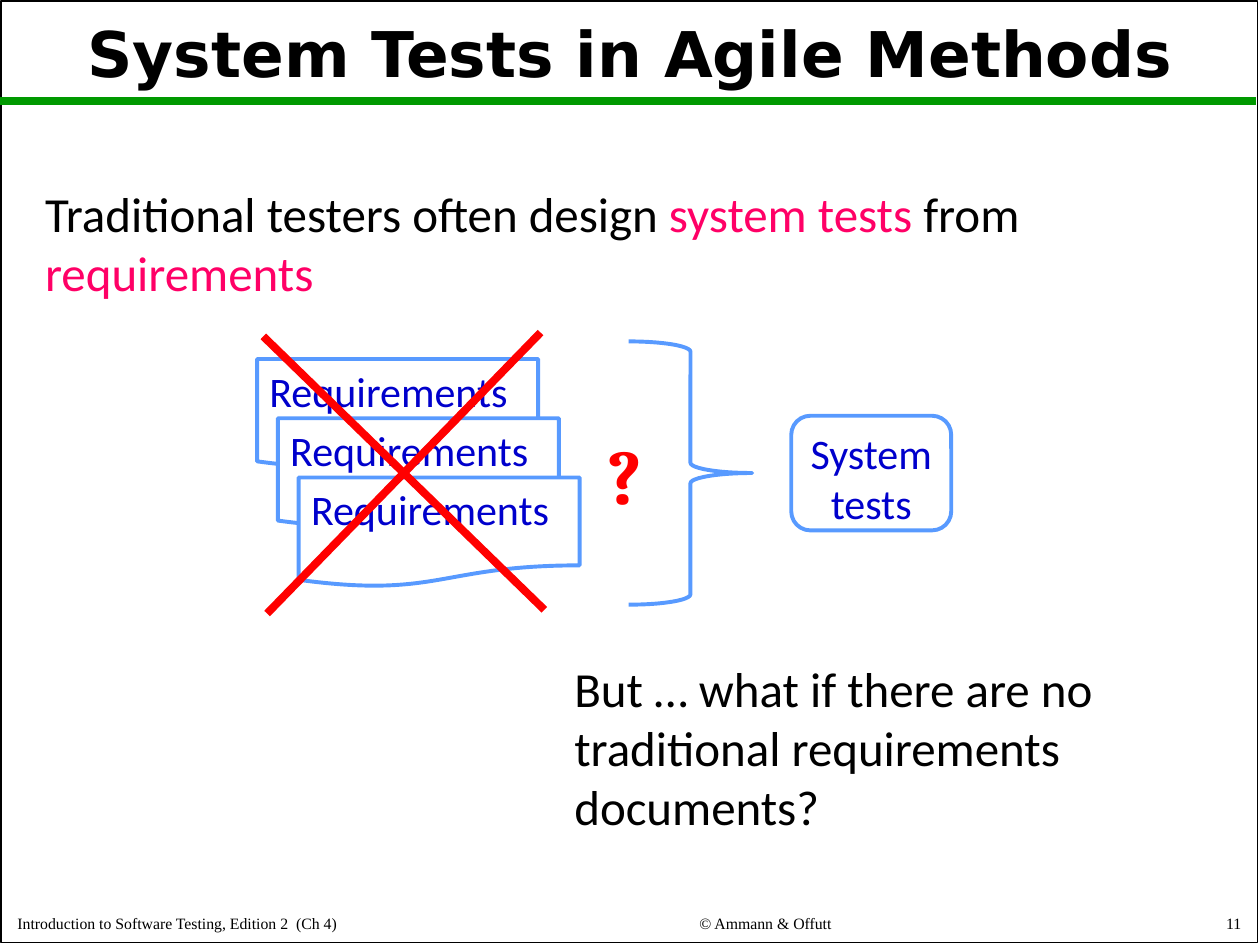
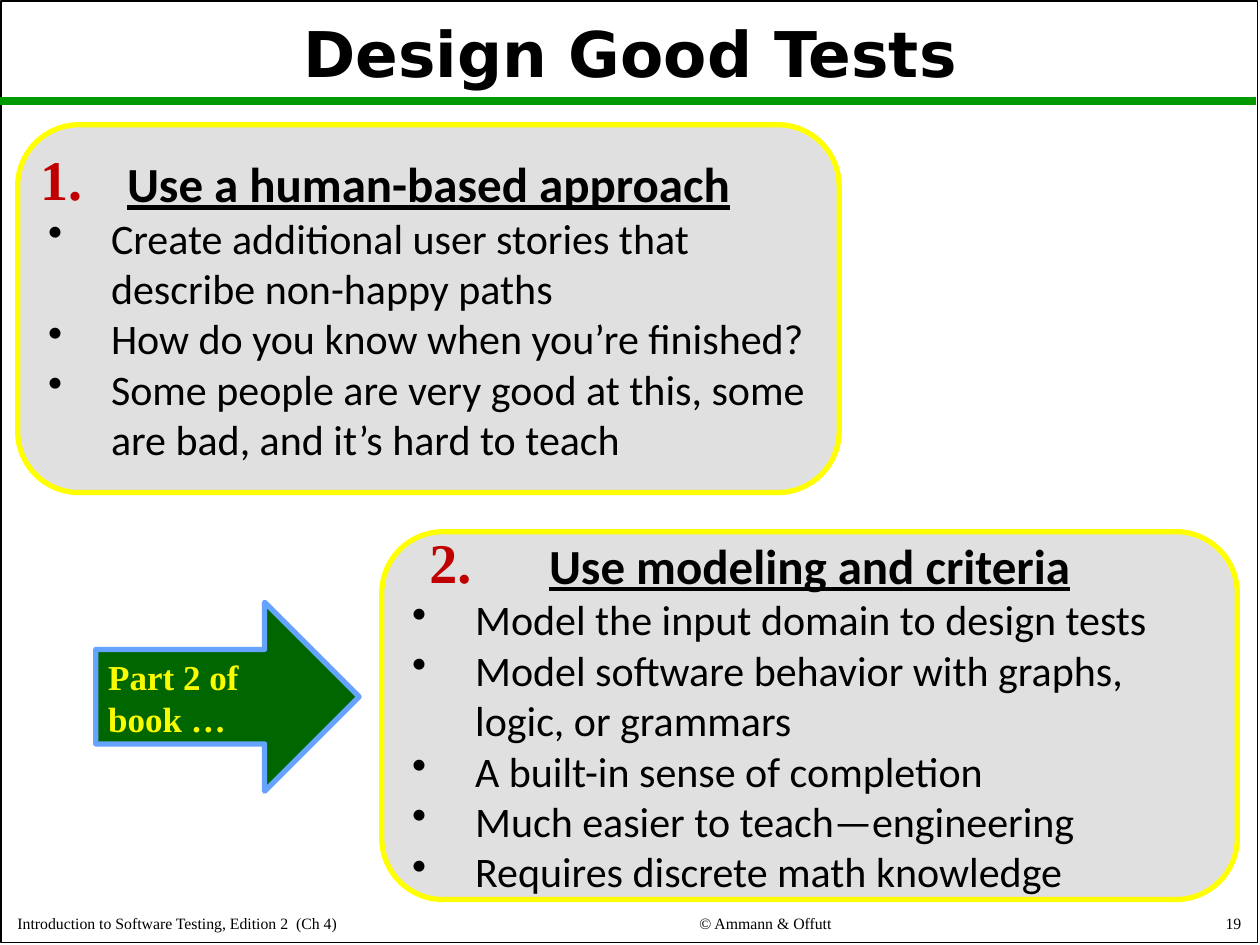
from dataclasses import dataclass

from lxml.etree import SubElement
from pptx import Presentation
from pptx.dml.color import RGBColor
from pptx.enum.shapes import MSO_CONNECTOR, MSO_SHAPE
from pptx.enum.text import MSO_ANCHOR, PP_ALIGN
from pptx.oxml.ns import qn
from pptx.util import Inches, Pt

BLACK, WHITE, RED = "000000", "FFFFFF", "FF0000"
GREEN, DARK_GREEN = "009900", "006600"
PINK, NAVY, SKY, BLUE = "FF0066", "0000CC", "589AFF", "66A3FF"
GREY, YELLOW, LEMON, CRIMSON = "E0E0E0", "FFFF00", "FAFD00", "C00000"
BODY, SERIF, HEADING, MARK = "Calibri", "Times New Roman", "DejaVu Sans", "Cambria"
LEFT, CENTER, RIGHT = PP_ALIGN.LEFT, PP_ALIGN.CENTER, PP_ALIGN.RIGHT
TOP, MIDDLE, BOTTOM = MSO_ANCHOR.TOP, MSO_ANCHOR.MIDDLE, MSO_ANCHOR.BOTTOM


@dataclass
class Box:
    x: float
    y: float
    w: float
    h: float

    def point(self, x, y):
        return int(self.x + self.w * x / 100), int(self.y + self.h * y / 100)

    def area(self, x, y, w, h):
        return Box(*self.point(x, y), int(self.w * w / 100), int(self.h * h / 100))

    def edges(self):
        return self.x, self.y, self.w, self.h


PAGE = Box(0, 0, Inches(10), Inches(7.5))


def rgb(color):
    return RGBColor.from_string(color)


def write(sp, text, size=24, font=BODY, color=BLACK, bold=False, underline=False,
          align=LEFT, anchor=TOP, wrap=True, spacing=None, bullet=False, more=False):
    tf = sp.text_frame
    tf.word_wrap = wrap
    tf.vertical_anchor = anchor
    p = tf.add_paragraph() if more else tf.paragraphs[0]
    p.alignment = align
    if spacing:
        p.line_spacing = spacing
    if bullet:
        pPr = p._p.get_or_add_pPr()
        pPr.set("marL", str(Inches(0.5)))
        pPr.set("indent", str(-Inches(0.5)))
        SubElement(pPr, qn("a:buChar")).set("char", "•")
    for words, tint in [(text, color)] if isinstance(text, str) else text:
        r = p.add_run()
        r.text = words
        r.font.size, r.font.name = Pt(size), font
        r.font.bold, r.font.underline = bold, underline
        r.font.color.rgb = rgb(tint)


def add_text(s, box, text, **fmt):
    sp = s.shapes.add_textbox(*box.edges())
    write(sp, text, **fmt)
    return sp


def add_shape(s, kind, box, fill=None, line=None, width=2.25):
    sp = s.shapes.add_shape(kind, *box.edges())
    sp.shadow.inherit = False
    if fill:
        sp.fill.solid()
        sp.fill.fore_color.rgb = rgb(fill)
    else:
        sp.fill.background()
    if line:
        sp.line.color.rgb = rgb(line)
        sp.line.width = Pt(width)
    else:
        sp.line.fill.background()
    return sp


def add_line(s, start, end, color, width=4.5):
    cxn = s.shapes.add_connector(MSO_CONNECTOR.STRAIGHT, *start, *end)
    cxn.line.color.rgb = rgb(color)
    cxn.line.width = Pt(width)
    SubElement(cxn._element.spPr, qn("a:effectLst"))


def add_page(prs, title, number):
    s = prs.slides.add_slide(prs.slide_layouts[6])
    s.background.fill.solid()
    s.background.fill.fore_color.rgb = rgb(WHITE)
    add_shape(s, MSO_SHAPE.RECTANGLE, PAGE.area(0.1, 0.13, 99.7, 99.6), line=BLACK, width=1)
    add_line(s, PAGE.point(0, 10.67), PAGE.point(99.7, 10.67), GREEN)
    add_text(s, PAGE.area(0.5, 1.47, 99, 9.2), title, size=36, font=HEADING,
             bold=True, align=CENTER, anchor=MIDDLE, spacing=0.9)
    for text, x, w, align in (
        ("Introduction to Software Testing, Edition 2  (Ch 4)", 0.4, 42, LEFT),
        ("© Ammann & Offutt", 44.9, 31.7, CENTER),
        (number, 78.7, 20.8, RIGHT),
    ):
        add_text(s, PAGE.area(x, 95.6, w, 3.73), text, size=9, font=SERIF,
                 align=align, anchor=BOTTOM)
    return s


def add_diagram(s, box):
    add_shape(s, MSO_SHAPE.RIGHT_BRACE, box.area(49.83, 8.4, 16.33, 83.6), line=SKY)
    tests = add_shape(s, MSO_SHAPE.ROUNDED_RECTANGLE, box.area(71.33, 32, 21.17, 36.4),
                      WHITE, SKY)
    write(tests, "System tests", color=NAVY, align=CENTER)
    for i in range(3):
        document = add_shape(s, MSO_SHAPE.FLOWCHART_DOCUMENT,
                             box.area(0.67 + 2.75 * i, 14 + 18.8 * i, 37.17, 34.8),
                             WHITE, SKY)
        write(document, "Requirements", color=NAVY)
    add_line(s, box.point(1.5, 6.8), box.point(38.67, 93.6), RED)
    add_line(s, box.point(38.17, 5.6), box.point(2, 94.8), RED)
    doubt = add_shape(s, MSO_SHAPE.RECTANGLE, box.area(45.33, 33.6, 8, 33.6), WHITE)
    write(doubt, "?", size=44, font=MARK, color=RED, bold=True, wrap=False)


def add_card(s, box, number, number_at, heading, points):
    card = add_shape(s, MSO_SHAPE.ROUNDED_RECTANGLE, box, GREY, YELLOW, 3)
    write(card, heading, size=28, bold=True, underline=True, align=CENTER, anchor=MIDDLE)
    for point in points:
        write(card, point, anchor=MIDDLE, bullet=True, more=True)
    add_text(s, box.area(*number_at, 8.2, 21.92), number, size=32, font=SERIF,
             color=CRIMSON, bold=True, wrap=False)


def add_agile_slide(prs):
    s = add_page(prs, "System Tests in Agile Methods", "11")
    add_text(s, PAGE.area(2.6, 18.8, 91, 13.87),
             [("Traditional testers often design ", BLACK), ("system tests ", PINK),
              ("from ", BLACK), ("requirements", PINK)], size=28)
    add_diagram(s, PAGE.area(20, 33.33, 60, 33.33))
    add_text(s, PAGE.area(44.6, 69.07, 47.5, 20.13),
             "But … what if there are no traditional requirements documents?", size=28)


def add_design_slide(prs):
    s = add_page(prs, "Design Good Tests", "19")
    add_card(s, PAGE.area(1.4, 13.2, 65.2, 38.93), "1.", (1.23, 3.77),
             "Use a human-based approach",
             ["Create additional user stories that describe non-happy paths",
              "How do you know when you’re finished?",
              "Some people are very good at this, some are bad, and it’s hard to teach"])
    add_card(s, PAGE.area(30.3, 56.27, 67.9, 38.93), "2.", (4.12, -2.74),
             "Use modeling and criteria",
             ["Model the input domain to design tests",
              "Model software behavior with graphs, logic, or grammars",
              "A built-in sense of completion",
              "Much easier to teach—engineering",
              "Requires discrete math knowledge"])
    arrow = add_shape(s, MSO_SHAPE.RIGHT_ARROW, PAGE.area(7.6, 63.73, 20.9, 20),
                      DARK_GREEN, BLUE, 3)
    write(arrow, "Part 2 of book …", size=20, font=SERIF, color=LEMON, bold=True)


def main():
    prs = Presentation()
    prs.slide_width, prs.slide_height = PAGE.w, PAGE.h
    add_agile_slide(prs)
    add_design_slide(prs)
    prs.save("out.pptx")


if __name__ == "__main__":
    main()
